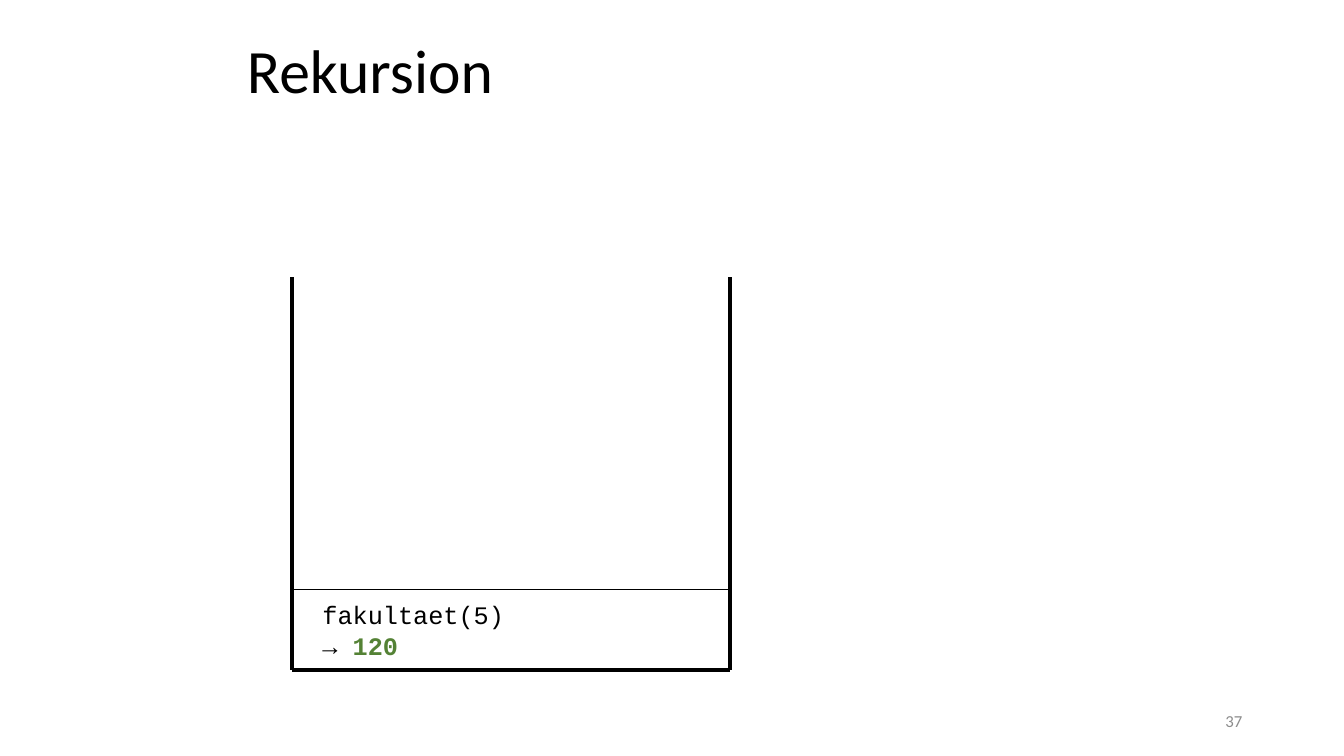
from pptx import Presentation
from pptx.dml.color import RGBColor
from pptx.enum.shapes import MSO_CONNECTOR as Connector, MSO_SHAPE as Shape
from pptx.enum.text import MSO_ANCHOR as Anchor, MSO_AUTO_SIZE as AutoSize, PP_ALIGN as Align
from pptx.oxml.ns import qn
from pptx.util import Inches, Pt
from lxml import etree

COLORS = {"black": "000000", "gray": "8C8C8C", "green": "548235"}


def color(name):
    return RGBColor.from_string(COLORS[name])


class SlideBuilder:
    """Holds the text styles and the current slide."""

    styles = {
        "title": {"name": "Calibri", "size": Pt(44)},
        "number": {"name": "Calibri", "size": Pt(12)},
        "code": {"name": "Courier New", "size": Pt(18)},
    }

    def __init__(self, slide):
        self.slide = slide

    def text(self, box, lines, style, frame_format=None, paragraph_format=None):
        """Each line is a list of (text, color name, font extras)."""
        frame = self.slide.shapes.add_textbox(*map(Inches, box)).text_frame
        for key, value in {"word_wrap": True, **(frame_format or {})}.items():
            setattr(frame, key, value)
        for index, runs in enumerate(lines):
            paragraph = frame.add_paragraph() if index else frame.paragraphs[0]
            for key, value in (paragraph_format or {}).items():
                setattr(paragraph, key, value)
            for text, color_name, extras in runs:
                run = paragraph.add_run()
                run.text = text
                for key, value in {**self.styles[style], **extras}.items():
                    setattr(run.font, key, value)
                run.font.color.rgb = color(color_name)

    def line(self, start, end, width):
        connector = self.slide.shapes.add_connector(
            Connector.STRAIGHT, *map(Inches, (*start, *end)))
        connector.line.color.rgb = color("black")
        connector.line.width = Pt(width)
        properties = connector._element.spPr
        etree.SubElement(properties, qn("a:effectLst"))

    def frame(self, box, width):
        shape = self.slide.shapes.add_shape(Shape.RECTANGLE, *map(Inches, box))
        shape.shadow.inherit = False
        shape.fill.background()
        shape.line.color.rgb = color("black")
        shape.line.width = Pt(width)


def main():
    presentation = Presentation()
    presentation.slide_width = Inches(13.33)
    presentation.slide_height = Inches(7.5)
    builder = SlideBuilder(presentation.slides.add_slide(presentation.slide_layouts[6]))

    # Title and slide number
    middle = {"vertical_anchor": Anchor.MIDDLE}
    builder.text((2.35, 0, 9.21, 1.45), [[("Rekursion", "black", {})]], "title",
                 middle, {"line_spacing": 0.9})
    builder.text((9.42, 6.95, 3, 0.4), [[("37", "gray", {})]], "number",
                 middle, {"alignment": Align.RIGHT})

    # Call stack, open at the top
    left, right, top, bottom = 2.9, 7.24, 2.75, 6.65
    for x in (left, right):
        builder.line((x, top), (x, bottom), 3)
    builder.line((left, bottom), (right, bottom), 3)

    # Stack frame of the call with its result
    builder.frame((left, 5.85, 4.33, 0.81), 1)
    call = [("fakultaet(5)", "black", {})]
    result = [("→ ", "black", {}), ("120", "green", {"bold": True})]
    builder.text((3.1, 5.9, 2.01, 0.71), [call, result], "code",
                 {"word_wrap": False, "auto_size": AutoSize.SHAPE_TO_FIT_TEXT})

    presentation.save("out.pptx")


if __name__ == "__main__":
    main()
